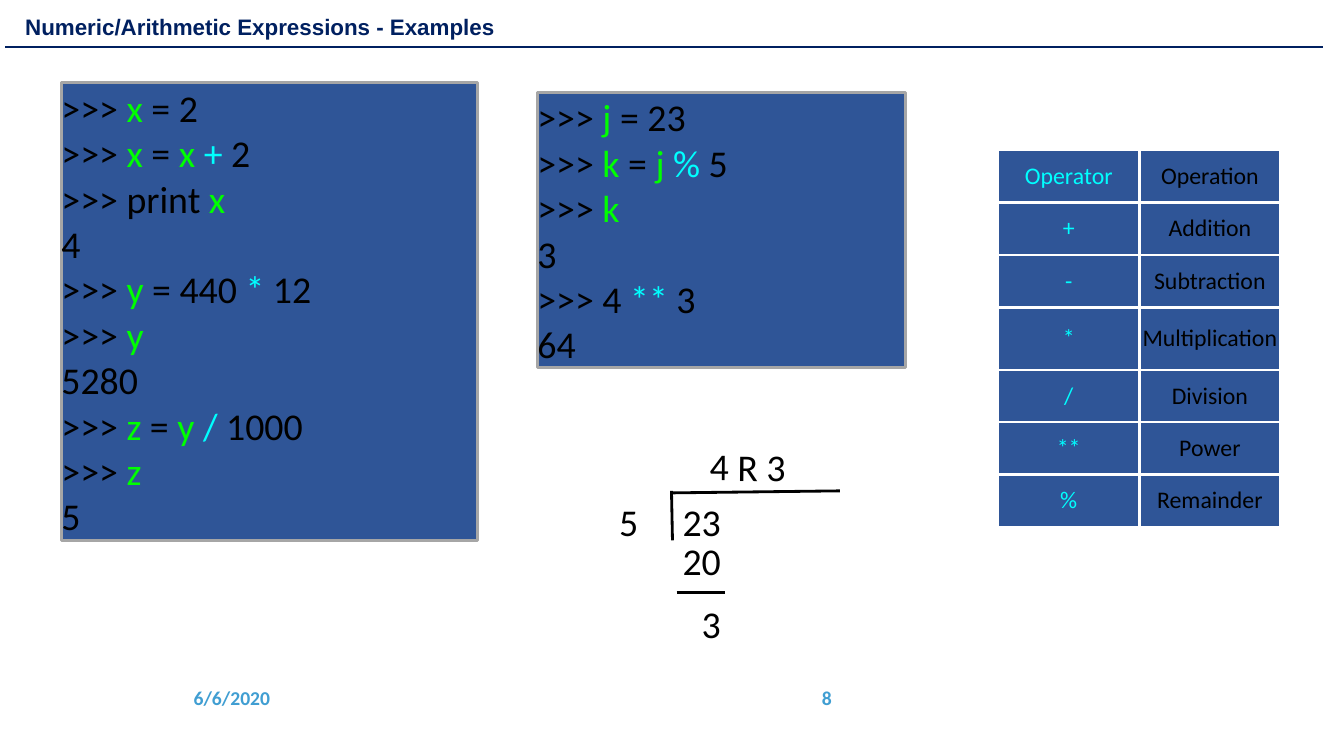
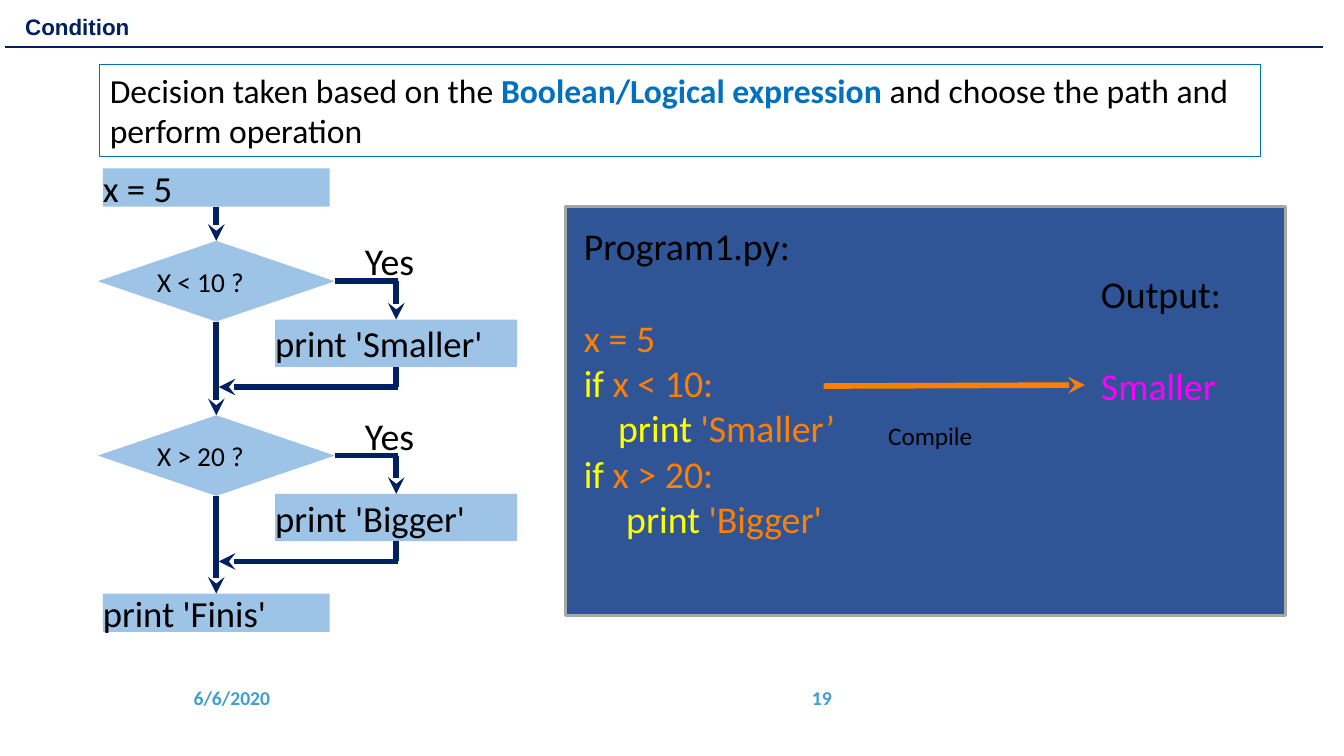
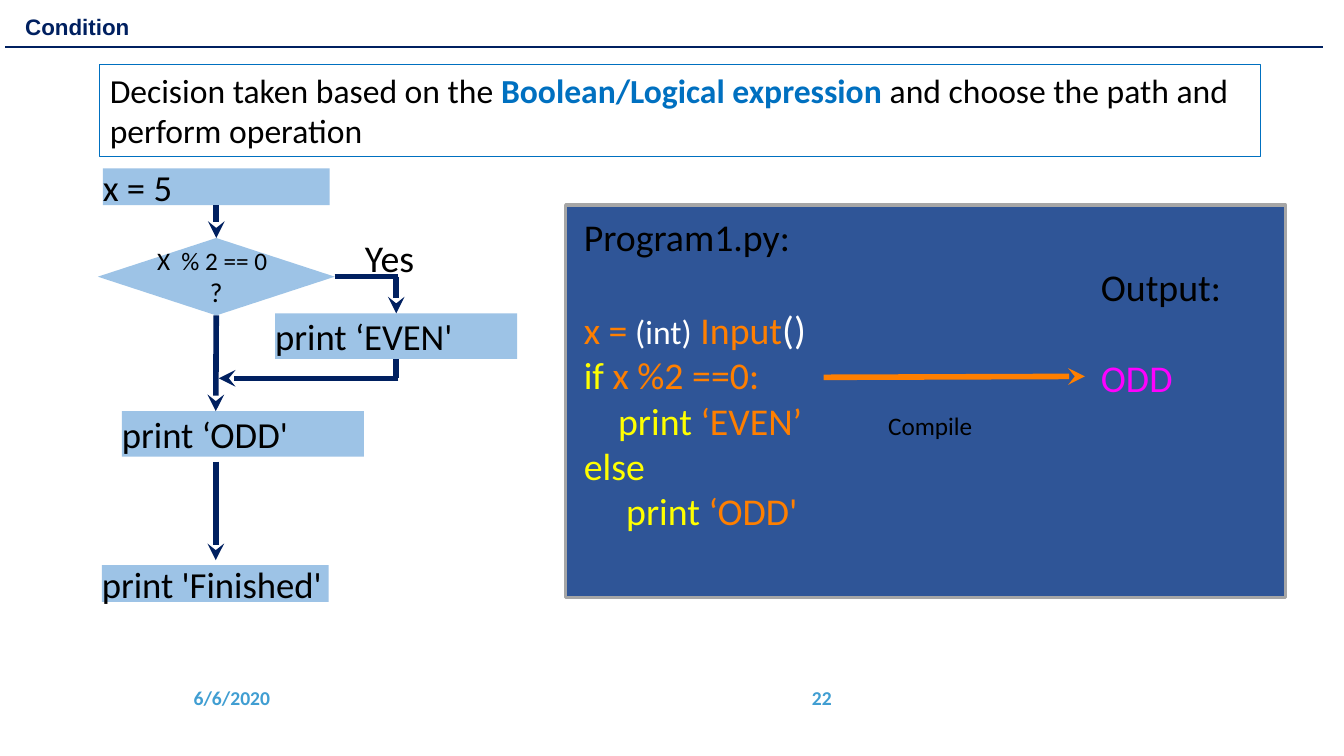
"""Build three slides on Python expressions and conditions."""
from copy import deepcopy

from lxml import etree
from pptx import Presentation
from pptx.dml.color import RGBColor
from pptx.enum.shapes import MSO_CONNECTOR, MSO_SHAPE, PP_PLACEHOLDER
from pptx.enum.text import MSO_ANCHOR, MSO_AUTO_SIZE, PP_ALIGN
from pptx.oxml.ns import qn
from pptx.util import Inches, Pt

RECT, DIAMOND = MSO_SHAPE.RECTANGLE, MSO_SHAPE.DIAMOND
STRAIGHT = MSO_CONNECTOR.STRAIGHT
LEFT, CENTER, RIGHT = PP_ALIGN.LEFT, PP_ALIGN.CENTER, PP_ALIGN.RIGHT
TOP, MIDDLE, BOTTOM = MSO_ANCHOR.TOP, MSO_ANCHOR.MIDDLE, MSO_ANCHOR.BOTTOM
TITLE, DATE, NUMBER = PP_PLACEHOLDER.TITLE, PP_PLACEHOLDER.DATE, PP_PLACEHOLDER.SLIDE_NUMBER
SITE_TOP, SITE_BOTTOM, SITE_RIGHT = 0, 2, 3

THEME = {
    "navy": "002060", "panel": "2F5597", "edge": "A6A6A6", "step": "9DC3E6",
    "footer": "409ED2", "accent": "0070C0", "white": "FFFFFF", "black": "000000",
    "orange": "FF7F00",
    "code": 27, "step_size": 26.2, "test_size": 19.5, "note": 24, "cell": 17,
    "label": 18, "title": 16, "footer_size": 14, "font": "Calibri", "title_font": "Arial",
}
INK = {
    "k": {"color": "000000"}, "g": {"color": "00FF00"}, "c": {"color": "00FFFF"},
    "m": {"color": "FF00FF"}, "o": {"color": "FF7F00"}, "y": {"color": "FFFF00"},
    "w24": {"color": "FFFFFF", "size": 24}, "w28": {"color": "FFFFFF", "size": 28},
    "k18": {"color": "000000", "size": 18}, "b": {"color": "0070C0", "bold": True},
    "title": {"color": THEME["navy"], "bold": True, "name": THEME["title_font"]},
    "footer": {"color": THEME["footer"], "bold": True},
}
FRAME = {TITLE: (0.15, 0.1, 9.04, 0.35), DATE: (1.82, 6.72, 1.38, 0.4),
         NUMBER: (5.32, 6.72, 3.03, 0.4)}
TODAY = "6/6/2020"
BLANK_LINE = {"space_after": Pt(33)}

SESSIONS = [
    ((0.61, 0.82, 4.13, 4.54), [
        ">>> {g}x{k} = 2", ">>> {g}x{k} = {g}x {c}+{k} 2", ">>> print {g}x", "4",
        ">>> {g}y{k} = 440 {c}*{k} 12", ">>> {g}y", "5280",
        ">>> {g}z{k} = {g}y {c}/{k} 1000", ">>> {g}z", "5"]),
    ((5.33, 0.92, 3.65, 2.73), [
        ">>>{g} j{k} = 23", ">>> {g}k{k} = {g}j {c}% {k}5", ">>> {g}k", "3",
        ">>> 4 {c}**{k} 3", "64"]),
]
OPERATORS = [("Operator", "Operation"), ("+", "Addition"), ("-", "Subtraction"),
             ("*", "Multiplication"), ("/", "Division"), ("**", "Power"),
             ("%", "Remainder")]
DIVISION = [("5", 6.14, 4.95, 0.19, 0), ("23", 6.77, 4.95, 0.38, 0),
            ("4 R 3", 7.04, 4.4, 0.76, 0.5), ("20", 6.77, 5.33, 0.38, 0),
            ("3", 6.96, 5.96, 0.19, 0)]
DIVISION_RULES = [((6.66, 4.87), (6.67, 5.36)), ((6.66, 4.89), (8.33, 4.87)),
                  ((6.71, 5.88), (7.19, 5.88))]

NOTE = ("Decision taken based on the {b}Boolean/Logical expression "
        "{k}and choose the path and perform operation")
CONDITIONS = [
    {"number": 19, "scale": 1, "output": "{m}Smaller",
     "tests": [(["X < 10 ?"], "print 'Smaller'"), (["X > 20 ?"], "print 'Bigger'")],
     "last": ("print 'Finis'", 1.02, 5.89),
     "code": [("Program1.py:", BLANK_LINE), "{o}x = 5", "{y}if{o} x < 10:",
              ("{y}print{o} 'Smaller’", {"indent": 0.34}), "{y}if{o} x > 20:",
              ("{y}print{o} 'Bigger'", {"indent": 0.42})]},
    {"number": 22, "scale": 0.96, "output": "{m}ODD",
     "tests": [(["{k18}X  % 2 == 0", ("?", {"alignment": CENTER})], "print ‘EVEN'")],
     "otherwise": "print ‘ODD'",
     "last": ("print 'Finished'", 1.01, 5.77),
     "code": [("Program1.py:", BLANK_LINE), "{o}x ={w24} (int){o} Input{w28}()",
              "{y}if{o} x %2 ==0:", ("{y}print{o} ‘EVEN’", {"indent": 0.34}),
              "{y}else", ("{y}print{o} ‘ODD'", {"indent": 0.42})]},
]
FLOW_TOP, TEST_TOP, TEST_PITCH = 1.67, 2.39, 1.73
TRUNK_X, BRANCH_X = 2.14, 3.93


def rgb(value):
    return RGBColor.from_string(value)


def inches(values):
    return [Inches(v) for v in values]


def write(tf, lines, size, ink="k", anchor=MIDDLE, inset=(0, 0), wrap=True, **para):
    """Fill a text frame with lines in which {key} switches the ink."""
    frame = {"word_wrap": wrap, "auto_size": MSO_AUTO_SIZE.NONE, "vertical_anchor": anchor,
             "margin_left": Inches(inset[0]), "margin_right": Inches(inset[0]),
             "margin_top": Inches(inset[1]), "margin_bottom": Inches(inset[1])}
    for name, value in frame.items():
        setattr(tf, name, value)
    for i, line in enumerate(lines):
        text, extra = (line, {}) if isinstance(line, str) else line
        p = tf.add_paragraph() if i else tf.paragraphs[0]
        options = {"alignment": LEFT, **para, **extra}
        indent = options.pop("indent", 0)
        for name, value in options.items():
            setattr(p, name, value)
        if indent:
            p._p.get_or_add_pPr().set("marL", str(Inches(indent)))
        if not text.startswith("{"):
            text = "{" + ink + "}" + text
        for piece in text.split("{")[1:]:
            key, words = piece.split("}", 1)
            r = p.add_run()
            r.text = words
            style = {"name": THEME["font"], "size": size, "bold": False, **INK[key]}
            r.font.color.rgb = rgb(style.pop("color"))
            style["size"] = Pt(style["size"])
            for name, value in style.items():
                setattr(r.font, name, value)


def label(s, at, lines, size, **fmt):
    box = s.shapes.add_textbox(*inches(at))
    write(box.text_frame, lines, size, **fmt)
    return box


def block(s, at, lines=(), size=THEME["code"], fill=None, line=None, kind=RECT, **fmt):
    sp = s.shapes.add_shape(kind, *inches(at))
    sp.shadow.inherit = False
    if fill:
        sp.fill.solid()
        sp.fill.fore_color.rgb = rgb(fill)
    else:
        sp.fill.background()
    if line:
        sp.line.color.rgb = rgb(line[0])
        sp.line.width = Pt(line[1])
    else:
        sp.line.fill.background()
    write(sp.text_frame, lines, size, **fmt)
    return sp


def connect(s, begin, end, color=THEME["navy"], width=4.0, arrow=False):
    """Draw a line between points, or between (shape, site) pairs."""
    glued = [not isinstance(e[0], (int, float)) for e in (begin, end)]
    points = [(0, 0) if g else e for g, e in zip(glued, (begin, end))]
    c = s.shapes.add_connector(STRAIGHT, *inches(points[0] + points[1]))
    if glued[0]:
        c.begin_connect(*begin)
    if glued[1]:
        c.end_connect(*end)
    c.line.color.rgb = rgb(color)
    c.line.width = Pt(width)
    if arrow:
        etree.SubElement(c.line._get_or_add_ln(), qn("a:tailEnd"), type="stealth")
    etree.SubElement(c._element.spPr, qn("a:effectLst"))


def prepare_layout(prs):
    layout = prs.slide_layouts[5]
    for ph in layout.placeholders:
        at = FRAME.get(ph.placeholder_format.type)
        if at:
            ph.left, ph.top, ph.width, ph.height = inches(at)
    return layout


def new_slide(prs, layout, title, number):
    s = prs.slides.add_slide(layout)
    write(s.shapes.title.text_frame, [title], THEME["title"], ink="title",
          anchor=BOTTOM, inset=(0.1, 0.05), line_spacing=0.9)
    footers = {DATE: (TODAY, LEFT), NUMBER: (str(number), RIGHT)}
    for ph in layout.placeholders:
        if ph.placeholder_format.type in footers:
            s.shapes._spTree.append(deepcopy(ph._element))
    for ph in s.placeholders:
        if ph.placeholder_format.type in footers:
            text, side = footers[ph.placeholder_format.type]
            ph.text_frame.clear()
            write(ph.text_frame, [text], THEME["footer_size"], ink="footer",
                  inset=(0.1, 0.05), alignment=side)
    connect(s, (0.05, 0.47), (13.12, 0.47), width=1.5)
    return s


def operator_table(s):
    heights = [0.62 if name == "Multiplication" else 0.52 for _, name in OPERATORS]
    table = s.shapes.add_table(len(OPERATORS), 2,
                               *inches((9.9, 1.49, 2.8, sum(heights)))).table
    table.first_row = table.horz_banding = False
    for i, row in enumerate(OPERATORS):
        table.rows[i].height = Inches(heights[i])
        for j, text in enumerate(row):
            cell = table.cell(i, j)
            write(cell.text_frame, [text], THEME["cell"], ink="ck"[j], alignment=CENTER)
            cell.vertical_anchor = MIDDLE
            for side in ("left", "right", "top", "bottom"):
                setattr(cell, "margin_" + side, Inches(0.03))
            tc_pr = cell._tc.get_or_add_tcPr()
            for tag in ("a:lnL", "a:lnR", "a:lnT", "a:lnB"):
                ln = etree.SubElement(tc_pr, qn(tag), w=str(Pt(2)))
                fill = etree.SubElement(ln, qn("a:solidFill"))
                etree.SubElement(fill, qn("a:srgbClr"), val=THEME["white"])
            cell.fill.solid()
            cell.fill.fore_color.rgb = rgb(THEME["panel"])


def expressions_slide(prs, layout):
    s = new_slide(prs, layout, "Numeric/Arithmetic Expressions - Examples", 8)
    for at, lines in SESSIONS:
        block(s, at, lines, fill=THEME["panel"], line=(THEME["edge"], 2.25))
    operator_table(s)
    for begin, end in DIVISION_RULES:
        connect(s, begin, end, THEME["black"], 2)
    for text, x, y, w, angle in DIVISION:
        label(s, (x, y, w, 0.45), [text], THEME["code"], wrap=False).rotation = angle


def condition_slide(prs, layout, data):
    s = new_slide(prs, layout, "Condition", data["number"])
    scale = data["scale"]

    def fy(y):
        return FLOW_TOP + scale * (y - FLOW_TOP)

    def place(x, y, w, h):
        return x, fy(y), w, scale * h

    def step(text, x, y, w=2.4, h=0.47):
        return block(s, place(x, y, w, h), [text], THEME["step_size"], THEME["step"])

    block(s, (0.99, 0.64, 11.51, 0.91), [NOTE], THEME["note"],
          line=(THEME["accent"], 0.75), anchor=TOP, inset=(0.1, 0.05))
    block(s, place(5.61, 2.05, 7.14, 4.06), fill=THEME["panel"], line=(THEME["edge"], 2.25))
    code_top = fy(4.04) - 1.83
    label(s, (5.79, code_top, 6.05, 3.28), data["code"], THEME["code"], anchor=TOP)
    label(s, (10.92, fy(3.61) - 0.92, 1.5, 1.64),
          [("Output:", BLANK_LINE), data["output"]], THEME["code"], anchor=TOP)
    connect(s, (8.17, fy(3.83)), (10.76, fy(3.82)), THEME["orange"], arrow=True)
    label(s, place(8.71, 4.12, 2.05, 0.36), ["Compile"], THEME["label"],
          anchor=TOP, inset=(0.1, 0.05))

    previous = (step("x = 5", 1.02, FLOW_TOP, 2.25, 0.38), SITE_BOTTOM)
    for i, (question, action) in enumerate(data["tests"]):
        top = TEST_TOP + i * TEST_PITCH
        test = block(s, place(0.97, top, 2.35, 0.8), question, THEME["test_size"],
                     THEME["step"], kind=DIAMOND)
        connect(s, previous, (test, SITE_TOP), arrow=True)
        previous = (test, SITE_BOTTOM)
        result = step(action, 2.73, top + 0.78)
        label(s, place(3.62, top + 0.02, 0.49, 0.35), ["Yes"], THEME["code"], wrap=False)
        turn, back = fy(top + 0.4), fy(top + 1.45)
        connect(s, (test, SITE_RIGHT), (BRANCH_X + 0.02, turn))
        connect(s, (BRANCH_X, turn), (result, SITE_TOP), arrow=True)
        connect(s, (result, SITE_BOTTOM), (BRANCH_X, back))
        connect(s, (BRANCH_X + 0.02, back), (TRUNK_X + 0.03, back), arrow=True)

    text, x, y = data["last"]
    finish = (step(text, x, y, 2.25, 0.38), SITE_TOP)
    if "otherwise" in data:
        step(data["otherwise"], 1.21, 4.18)
        connect(s, previous, (TRUNK_X, fy(4.18)), arrow=True)
        previous, finish = (TRUNK_X, fy(4.7)), (TRUNK_X, fy(y - 0.05))
    connect(s, previous, finish, arrow=True)


def main():
    prs = Presentation()
    prs.slide_width, prs.slide_height = inches((13.33, 7.5))
    layout = prepare_layout(prs)
    expressions_slide(prs, layout)
    for data in CONDITIONS:
        condition_slide(prs, layout, data)
    prs.save("out.pptx")


if __name__ == "__main__":
    main()
